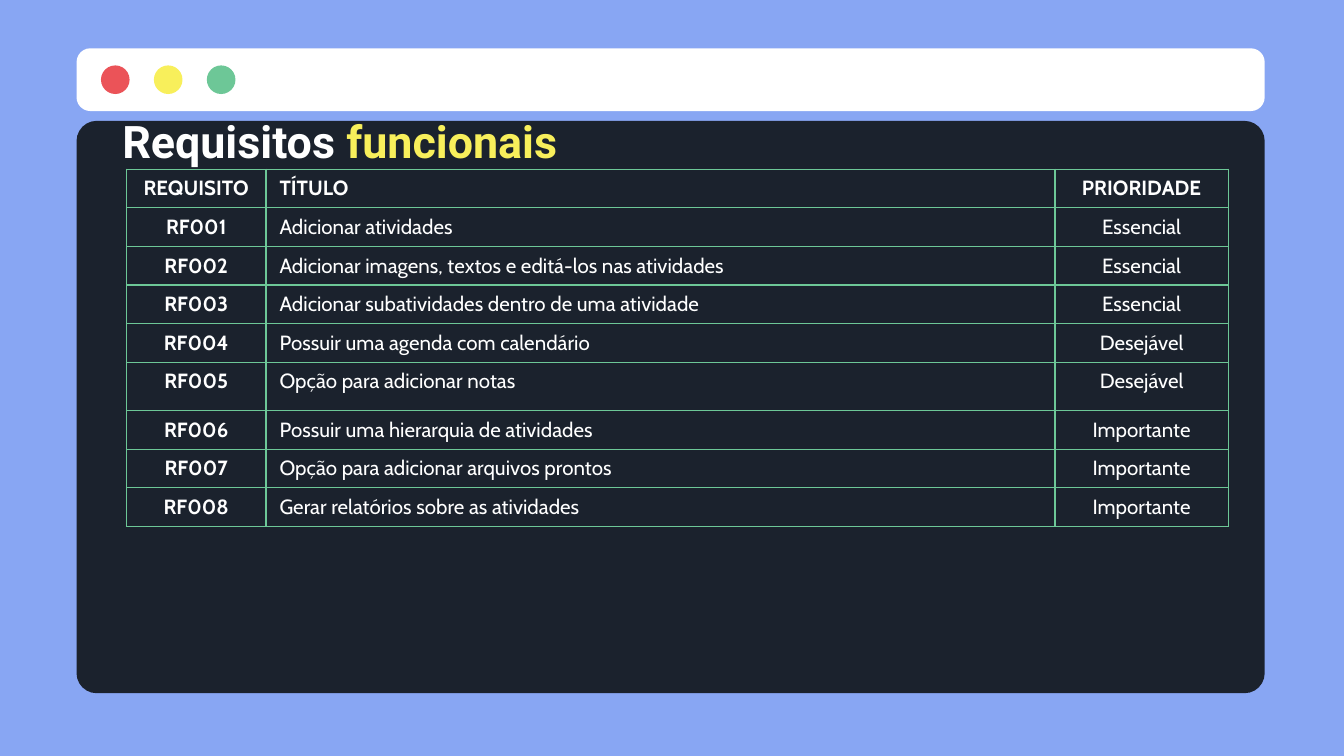
from lxml import etree
from pptx import Presentation
from pptx.dml.color import RGBColor
from pptx.enum.shapes import MSO_SHAPE
from pptx.enum.text import MSO_ANCHOR, MSO_AUTO_SIZE, PP_ALIGN
from pptx.oxml import parse_xml
from pptx.util import Inches, Pt

ROUNDED, OVAL = MSO_SHAPE.ROUNDED_RECTANGLE, MSO_SHAPE.OVAL
LEFT, CENTER = PP_ALIGN.LEFT, PP_ALIGN.CENTER
MIDDLE = MSO_ANCHOR.MIDDLE
FIXED_SIZE = MSO_AUTO_SIZE.NONE
DRAWING_NS = "http://schemas.openxmlformats.org/drawingml/2006/main"

COLORS = {
    "sky": "88A6F3",
    "white": "FFFFFF",
    "panel": "1B222D",
    "red": "EB5358",
    "yellow": "F8EF5B",
    "green": "6DC797",
}

REQUIREMENTS = [
    ("REQUISITO", "TÍTULO", "PRIORIDADE"),
    ("RF001", "Adicionar atividades", "Essencial"),
    ("RF002", "Adicionar imagens, textos e editá-los nas atividades", "Essencial"),
    ("RF003", "Adicionar subatividades dentro de uma atividade", "Essencial"),
    ("RF004", "Possuir uma agenda com calendário", "Desejável"),
    ("RF005", "Opção para adicionar notas", "Desejável"),
    ("RF006", "Possuir uma hierarquia de atividades", "Importante"),
    ("RF007", "Opção para adicionar arquivos prontos", "Importante"),
    ("RF008", "Gerar relatórios sobre as atividades", "Importante"),
]

prs = Presentation()
prs.slide_width, prs.slide_height = Inches(10), Inches(5.625)
slide = prs.slides.add_slide(prs.slide_layouts[6])
slide.background.fill.solid()
slide.background.fill.fore_color.rgb = RGBColor.from_string(COLORS["sky"])

# Grid: 100 columns by 100 rows
COL, ROW = prs.slide_width / 100, prs.slide_height / 100


def add_block(kind, left, top, width, height, color):
    block = slide.shapes.add_shape(kind, int(left), int(top), int(width), int(height))
    block.shadow.inherit = False
    block.fill.solid()
    block.fill.fore_color.rgb = RGBColor.from_string(COLORS[color])
    block.line.fill.background()
    return block


def add_run(paragraph, text, font, size, color, bold):
    run = paragraph.add_run()
    run.text = text
    run.font.name, run.font.size, run.font.bold = font, Pt(size), bold
    run.font.color.rgb = RGBColor.from_string(COLORS[color])


# Window: title bar, buttons and panel
title_bar = add_block(ROUNDED, 5.7 * COL, 6.4 * ROW, 88.4 * COL, 8.3 * ROW, "white")
title_bar.adjustments[0] = 0.22
button = 2.13 * COL
for i, color in enumerate(("red", "yellow", "green")):
    add_block(OVAL, (7.51 + 3.94 * i) * COL, 8.65 * ROW, button, button, color)
panel = add_block(ROUNDED, 5.7 * COL, 16 * ROW, 88.4 * COL, 75.7 * ROW, "panel")
panel.adjustments[0] = 0.035

# Heading
heading = slide.shapes.add_textbox(
    int(9.1 * COL), int(14.8 * ROW), int(42.1 * COL), int(7.6 * ROW)).text_frame
heading.word_wrap = True
heading.auto_size = FIXED_SIZE
heading.vertical_anchor = MIDDLE
heading.margin_left = heading.margin_right = 0
heading.margin_top = heading.margin_bottom = Inches(0.1)
add_run(heading.paragraphs[0], "Requisitos ", "Roboto", 24, "white", True)
add_run(heading.paragraphs[0], "funcionais", "Roboto", 24, "yellow", True)

# Requirements table
column_widths = [10.4 * COL, 58.7 * COL, 12.9 * COL]
row_heights = [5 * ROW] * len(REQUIREMENTS)
row_heights[5] = 6.4 * ROW
frame = slide.shapes.add_table(
    len(REQUIREMENTS), len(column_widths), int(9.4 * COL), int(22.4 * ROW),
    int(sum(column_widths)), int(sum(row_heights)))
table = frame.table
table.first_row = table.horz_banding = False
for column, width in zip(table.columns, column_widths):
    column.width = int(width)

for r, requirement in enumerate(REQUIREMENTS):
    table.rows[r].height = int(row_heights[r])
    for c, text in enumerate(requirement):
        cell = table.cell(r, c)
        cell.fill.background()
        cell.margin_left = cell.margin_right = Inches(0.1)
        cell.margin_top = cell.margin_bottom = Inches(0.05)
        paragraph = cell.text_frame.paragraphs[0]
        paragraph.alignment = LEFT if c == 1 else CENTER
        add_run(paragraph, text, "Cabin", 11, "white", r == 0 or c == 0)

        # Cell borders come before the fill
        properties = cell._tc.get_or_add_tcPr()
        for position, side in enumerate(("lnL", "lnR", "lnT", "lnB")):
            border = parse_xml(f'<a:{side} xmlns:a="{DRAWING_NS}" w="{Pt(0.75)}"/>')
            fill = etree.SubElement(border, f"{{{DRAWING_NS}}}solidFill")
            etree.SubElement(fill, f"{{{DRAWING_NS}}}srgbClr", val=COLORS["green"])
            properties.insert(position, border)

prs.save("out.pptx")
